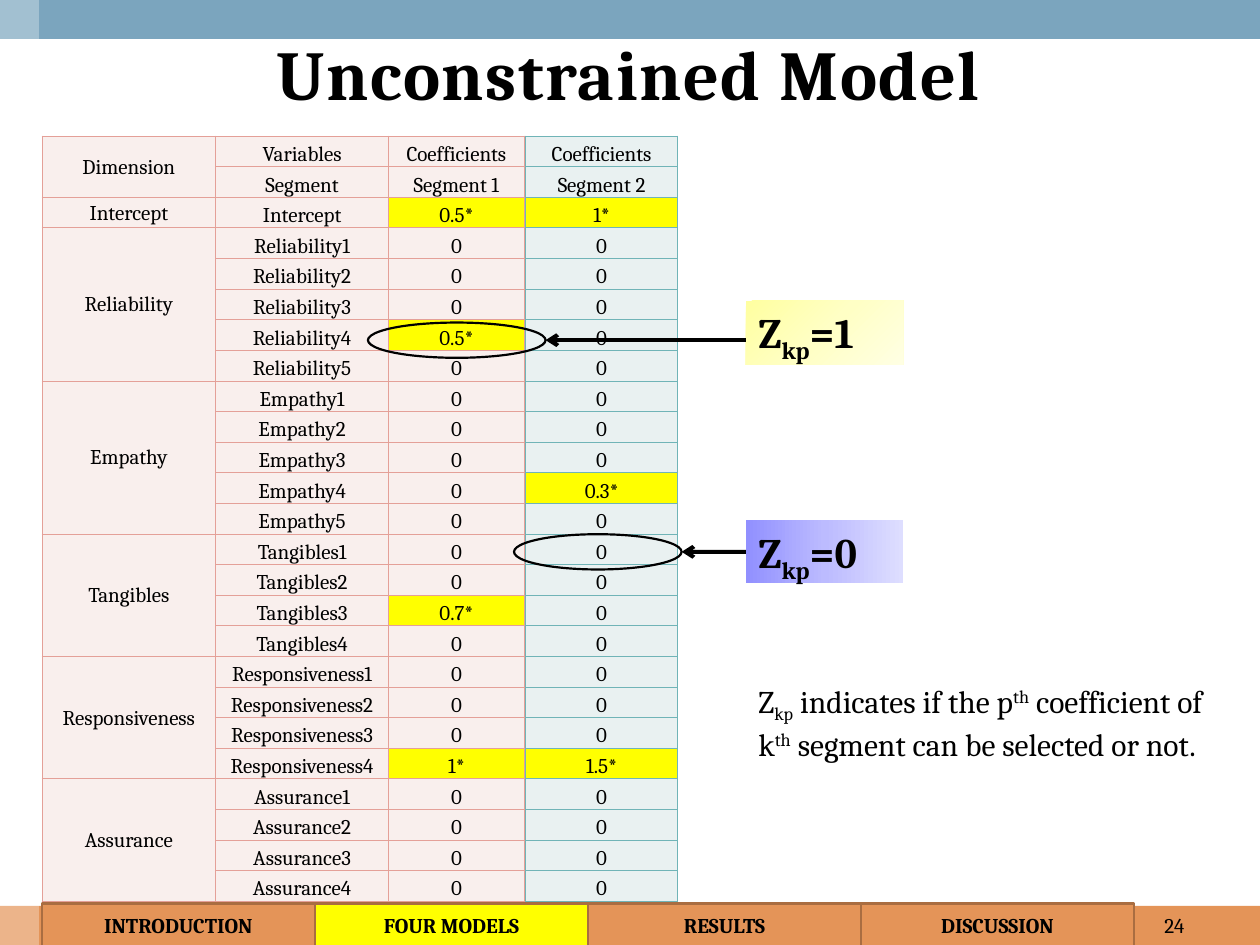
from lxml import etree
from pptx import Presentation
from pptx.dml.color import RGBColor
from pptx.enum.shapes import MSO_CONNECTOR as Connector, MSO_SHAPE as Preset
from pptx.enum.text import MSO_ANCHOR as Anchor, PP_ALIGN as Align
from pptx.oxml import parse_xml
from pptx.oxml.ns import nsdecls, qn
from pptx.util import Inches, Pt

WIDTH, HEIGHT = Inches(10), Inches(7.5)
FONT = "Cambria"
BLACK, WHITE, YELLOW = "000000", "FFFFFF", "FFFF00"
ORANGE, BLUE, BROWN = "E49458", "7BA5BE", "A96D41"
PINK, PINK_LINE = "F9EFED", "E4A098"
TEAL, TEAL_LINE = "E9F1F1", "70B4B7"

DIMENSIONS = [("Reliability", 5), ("Empathy", 5), ("Tangibles", 4),
              ("Responsiveness", 4), ("Assurance", 4)]
# Non-zero coefficients of each segment, by variable
SEGMENTS = [
    {"Intercept": "0.5*", "Reliability4": "0.5*", "Tangibles3": "0.7*", "Responsiveness4": "1*"},
    {"Intercept": "1*", "Empathy4": "0.3*", "Responsiveness4": "1.5*"},
]
SUB, SUPER = -25, 30


def color(value):
    return RGBColor.from_string(value)


def across(percent):
    return round(WIDTH * percent / 100)


def down(percent):
    return round(HEIGHT * percent / 100)


def place(left, top, width, height):
    """Turn percentages of the slide into a position and a size."""
    return across(left), down(top), across(width), down(height)


def write(frame, parts, size=12, bold=False, align=Align.LEFT, anchor=Anchor.TOP, spacing=0):
    """Write a string, or (text, baseline) pairs, as one paragraph."""
    frame.word_wrap = True
    frame.vertical_anchor = anchor
    paragraph = frame.paragraphs[0]
    paragraph.alignment = align
    for text, baseline in [(parts, 0)] if isinstance(parts, str) else parts:
        run = paragraph.add_run()
        run.text = text
        run.font.name, run.font.size, run.font.bold = FONT, Pt(size), bold
        run.font.color.rgb = color(BLACK)
        properties = run.font._element
        if baseline:
            properties.set("baseline", str(baseline * 1000))
        if spacing:
            properties.set("spc", str(spacing * 100))


def add_shape(slide, box, fill=None, line=None, preset=Preset.RECTANGLE):
    shape = slide.shapes.add_shape(preset, *place(*box))
    shape.shadow.inherit = False
    if fill:
        shape.fill.solid()
        shape.fill.fore_color.rgb = color(fill)
    else:
        shape.fill.background()
    if line:
        shape.line.color.rgb = color(line)
        shape.line.width = Pt(1.25)
    else:
        shape.line.fill.background()
    return shape


def add_text(slide, box, parts, **text_format):
    write(slide.shapes.add_textbox(*place(*box)).text_frame, parts, **text_format)


def add_label(slide, box, value, stops, angle):
    """Add a Z label with a three-stop gradient."""
    label = add_shape(slide, box, WHITE)
    stop_xml = "".join(f'<a:gs pos="{position * 50000}"><a:srgbClr val="{stop}"/></a:gs>'
                       for position, stop in enumerate(stops))
    gradient = parse_xml(f'<a:gradFill {nsdecls("a")} rotWithShape="1"><a:gsLst>{stop_xml}</a:gsLst>'
                         f'<a:lin ang="{angle * 60000}" scaled="0"/></a:gradFill>')
    properties = label._element.spPr
    properties.replace(properties.find(qn("a:solidFill")), gradient)
    write(label.text_frame, [("Z", 0), ("kp", SUB), (f"={value}", 0)], size=24, bold=True)
    return label


def add_arrow(slide, label, oval, joined):
    """Point from the left side of a label to the right side of an oval."""
    middle = oval.top + oval.height // 2
    arrow = slide.shapes.add_connector(Connector.STRAIGHT, label.left, middle,
                                       oval.left + oval.width, middle)
    if joined:
        arrow.begin_connect(label, 1)
    # An oval has eight sites; 6 is the right one
    arrow._element.nvCxnSpPr.cNvCxnSpPr._add_endCxn()
    end = arrow._element.nvCxnSpPr.cNvCxnSpPr.endCxn
    end.id, end.idx = oval.shape_id, 6
    arrow.line.color.rgb = color(BLACK)
    arrow.line.width = Pt(2.25)
    etree.SubElement(arrow.line._get_or_add_ln(), qn("a:tailEnd"), type="arrow")
    etree.SubElement(arrow._element.spPr, qn("a:effectLst"))


def style_cell(cell, fill, border):
    properties = cell._tc.get_or_add_tcPr()
    for side in ("lnL", "lnR", "lnT", "lnB"):
        properties.append(parse_xml(
            f'<a:{side} {nsdecls("a")} w="6350"><a:solidFill><a:srgbClr val="{border}"/>'
            f'</a:solidFill></a:{side}>'))
    cell.fill.solid()
    cell.fill.fore_color.rgb = color(fill)
    cell.margin_left = cell.margin_right = cell.margin_top = Inches(0.01)
    cell.margin_bottom = 0


def add_grid(slide, left, columns, rows, fill, border, spans=()):
    """Add a table; spans lists (first row, row count) merges of the first column."""
    box = place(left, 14.4, sum(columns), 81.07)
    frame = slide.shapes.add_table(len(rows), len(columns), *box)
    table = frame.table
    table.first_row = table.horz_banding = False
    for column, width in zip(table.columns, columns):
        column.width = across(width)
    for row, texts in zip(table.rows, rows):
        row.height = box[3] // len(rows)
        for index, (cell, text) in enumerate(zip(row.cells, texts)):
            style_cell(cell, YELLOW if text.endswith("*") else fill, border)
            is_dimension = spans and index == 0
            cell.vertical_anchor = Anchor.MIDDLE if is_dimension else Anchor.BOTTOM
            if text:
                write(cell.text_frame, text, align=Align.CENTER, anchor=None)
                cell.vertical_anchor = Anchor.MIDDLE if is_dimension else Anchor.BOTTOM
    for first, count in spans:
        table.cell(first, 0).merge(table.cell(first + count - 1, 0))


def add_tables(slide):
    groups = [("Dimension", ["Variables", "Segment"]), ("Intercept", ["Intercept"])]
    groups += [(name, [f"{name}{number + 1}" for number in range(count)])
               for name, count in DIMENSIONS]
    left_rows, right_rows, spans = [], [], []
    for dimension, variables in groups:
        if len(variables) > 1:
            spans.append((len(left_rows), len(variables)))
        for index, variable in enumerate(variables):
            if dimension == "Dimension":
                first, second = [("Coefficients",) * 2, ("Segment 1", "Segment 2")][index]
            else:
                first, second = [segment.get(variable, "0") for segment in SEGMENTS]
            left_rows.append(("" if index else dimension, variable, first))
            right_rows.append((second,))
    add_grid(slide, 41.7, [12.1], right_rows, TEAL, TEAL_LINE)
    add_grid(slide, 3.33, [13.8, 13.7, 10.8], left_rows, PINK, PINK_LINE, spans)


def main():
    presentation = Presentation()
    presentation.slide_width, presentation.slide_height = WIDTH, HEIGHT
    slide = presentation.slides.add_slide(presentation.slide_layouts[6])

    # Bands at the top and bottom, lightened at the left edge
    add_shape(slide, (0, 95.87, 100, 4.13), ORANGE)
    add_shape(slide, (0, 0, 100, 4.13), BLUE)
    veil = add_shape(slide, (0, 0, 3.1, 100), WHITE)
    etree.SubElement(veil._element.spPr.find(".//" + qn("a:srgbClr")), qn("a:alpha"), val="30000")

    # Coefficients, title and page number
    add_tables(slide)
    add_text(slide, (3.1, 0.8, 93.6, 13.73), "Unconstrained Model", size=40, bold=True,
             align=Align.CENTER, anchor=Anchor.MIDDLE, spacing=1)
    add_text(slide, (71.7, 95.87, 23.3, 4.13), "24", align=Align.RIGHT, anchor=Anchor.MIDDLE)

    # Labels and explanation
    one = add_label(slide, (59.2, 31.8, 12.5, 6.8), 1, ["FFFFA0", "FFFFC5", "FFFFE3"], 45)
    zero = add_label(slide, (59.2, 55.07, 12.5, 6.67), 0, ["9190FF", "BCBBFF", "DEDEFF"], 0)
    add_text(slide, (59.2, 71.47, 40, 13.47),
             [("Z", 0), ("kp", SUB), (" indicates if the p", 0), ("th", SUPER),
              (" coefficient of k", 0), ("th", SUPER),
              (" segment can be selected or not.", 0)], size=18)

    # Section tabs
    for index, name in enumerate(["INTRODUCTION", "FOUR MODELS", "RESULTS", "DISCUSSION"]):
        tab = add_shape(slide, (3.33 + index * 21.67, 95.6, 21.67, 4.53),
                        YELLOW if name == "FOUR MODELS" else ORANGE, BROWN)
        write(tab.text_frame, name, bold=True, align=Align.CENTER, anchor=Anchor.MIDDLE)

    # Circled coefficients and their arrows
    selected = add_shape(slide, (29.2, 34.13, 14.1, 3.73), line=BLACK, preset=Preset.OVAL)
    dropped = add_shape(slide, (40.8, 56.53, 13.3, 3.73), line=BLACK, preset=Preset.OVAL)
    add_arrow(slide, one, selected, joined=False)
    add_arrow(slide, zero, dropped, joined=True)

    presentation.save("out.pptx")


if __name__ == "__main__":
    main()
